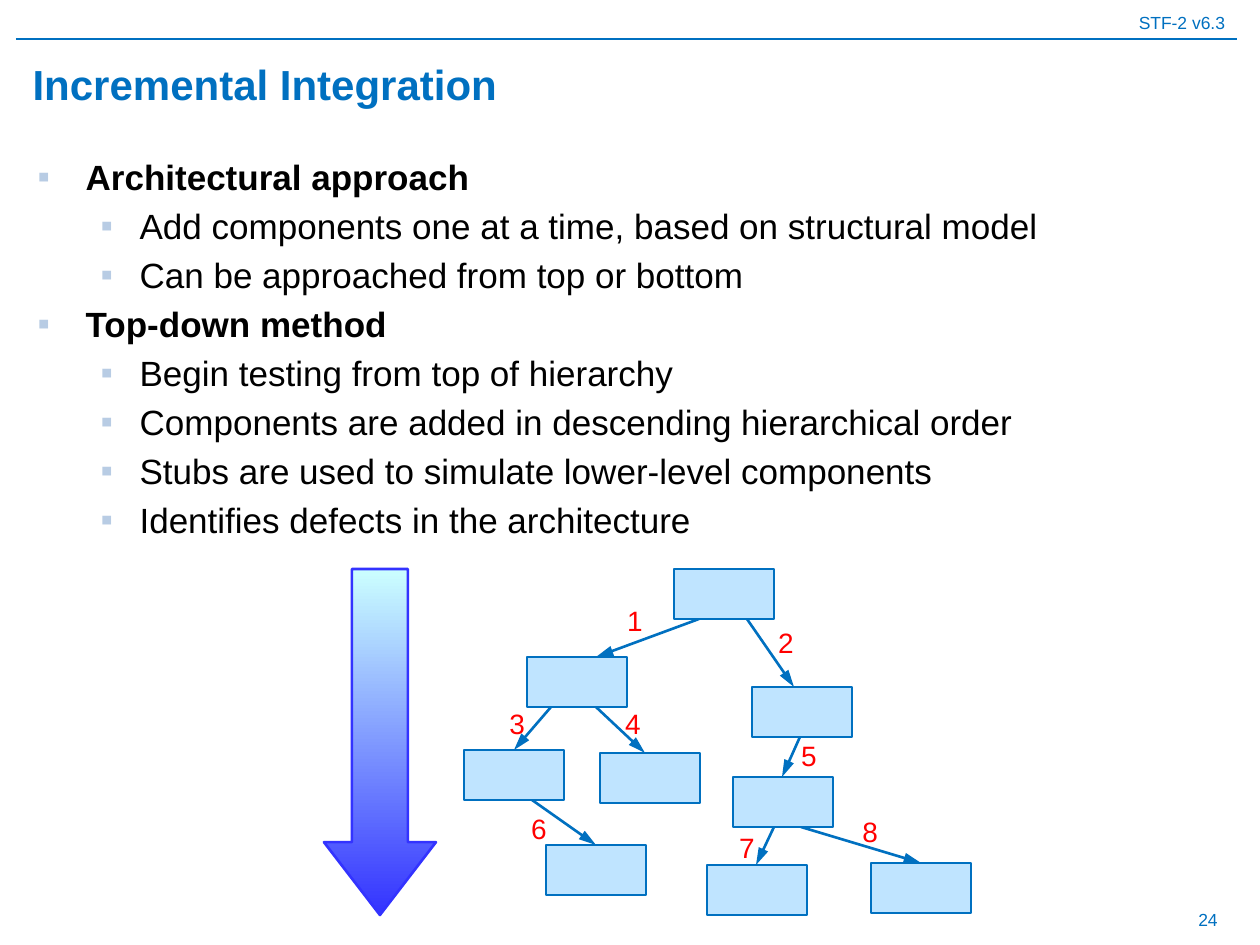
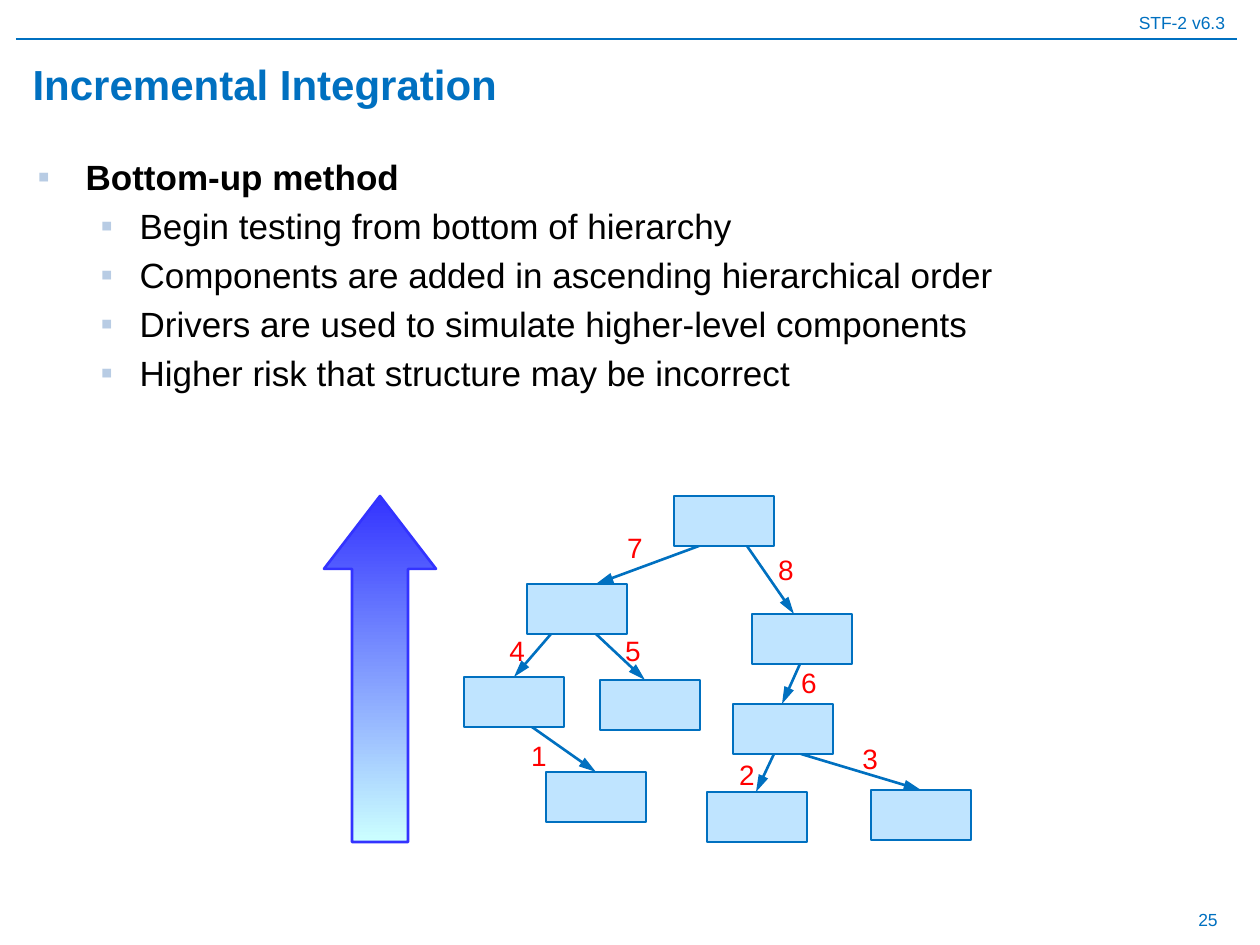
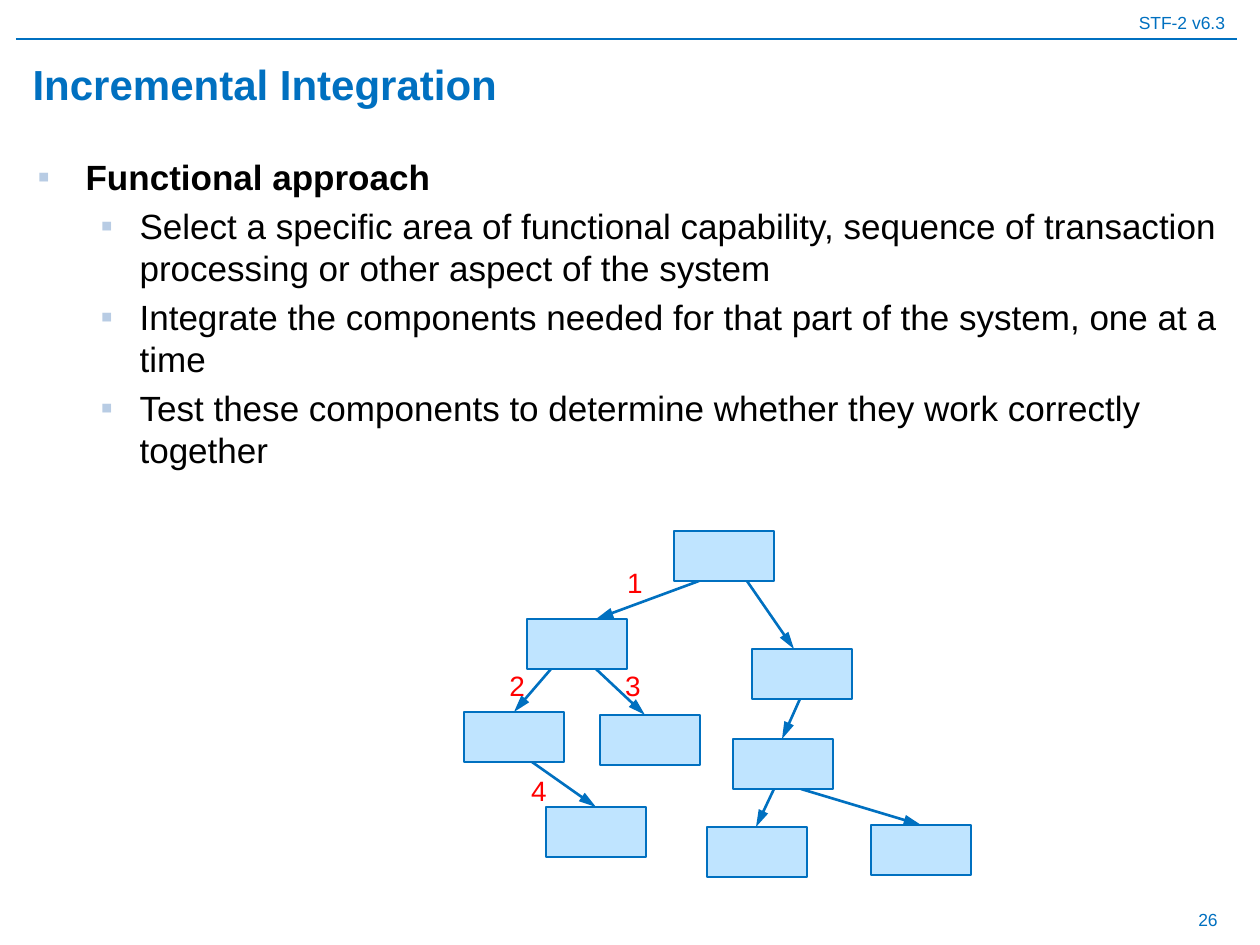
from lxml import etree
from pptx import Presentation
from pptx.dml.color import RGBColor
from pptx.enum.shapes import MSO_CONNECTOR, MSO_SHAPE
from pptx.enum.text import MSO_ANCHOR, MSO_AUTO_SIZE, PP_ALIGN
from pptx.oxml.ns import qn
from pptx.util import Pt

LEFT, CENTER, RIGHT = PP_ALIGN.LEFT, PP_ALIGN.CENTER, PP_ALIGN.RIGHT
TOP, MIDDLE = MSO_ANCHOR.TOP, MSO_ANCHOR.MIDDLE
NO_FIT = MSO_AUTO_SIZE.NONE
STRAIGHT = MSO_CONNECTOR.STRAIGHT
RECTANGLE, DOWN_ARROW = MSO_SHAPE.RECTANGLE, MSO_SHAPE.DOWN_ARROW

BLUE = RGBColor(0x00, 0x70, 0xC0)
PALE_BLUE = RGBColor(0xBF, 0xE4, 0xFF)
BULLET_BLUE = "B8CCE4"
RED = RGBColor(0xFF, 0x00, 0x00)
BLACK = RGBColor(0x00, 0x00, 0x00)
ARROW_LIGHT = RGBColor(0xCC, 0xFF, 0xFF)
ARROW_DARK = RGBColor(0x33, 0x33, 0xFF)
FONT = "Arial"

SCALE = 914400 / 126  # EMU in one pixel


def px(length):
    return round(length * SCALE)


# Boxes: left, top, width, height
HEADER_BOX = (0, 6, 1260, 34)
NUMBER_BOX = (936, 895, 294, 50)
TITLE_BOX = (20, 49, 1211, 69)
BODY_BOX = (25, 149, 1216, 690)
TREE_LEFT = 464
ARROW_LEFT, ARROW_WIDTH, ARROW_HEIGHT = 324, 112, 346

# Left margin and hanging indent for each list level
INDENTS = [(48, 48), (102, 39)]

# Tree nodes: left, top, relative to the tree
NODE_WIDTH, NODE_HEIGHT = 100, 50
NODES = {
    "root": (210, 0),
    "left": (63, 88),
    "right": (288, 118),
    "left outer": (0, 181),
    "left inner": (136, 184),
    "left leaf": (82, 276),
    "right middle": (269, 208),
    "right inner leaf": (243, 296),
    "right outer leaf": (407, 294),
}
# Tree edges: parent, child, x at parent, x at child, label left, label top
EDGES = [
    ("root", "left", 235, 132, 150, 28),
    ("root", "right", 283, 330, 301, 50),
    ("left", "left outer", 87, 50, 32, 131),
    ("left", "left inner", 132, 181, 148, 131),
    ("right", "right middle", 336, 318, 324, 163),
    ("left outer", "left leaf", 68, 132, 54, 236),
    ("right middle", "right inner leaf", 310, 292, 262, 255),
    ("right middle", "right outer leaf", 337, 457, 385, 239),
]
LABEL_WIDTH, LABEL_HEIGHT = 42, 47


def place(shape, box):
    shape.left, shape.top, shape.width, shape.height = map(px, box)


def add_run(paragraph, text, size, color, bold=False):
    run = paragraph.add_run()
    run.text = text
    run.font.name = FONT
    run.font.size = Pt(size)
    run.font.bold = bold
    run.font.color.rgb = color


def add_text(shapes, box, text, size, color, align, anchor=TOP, wrap=True):
    text_box = shapes.add_textbox(*map(px, box))
    frame = text_box.text_frame
    frame.word_wrap = wrap
    frame.vertical_anchor = anchor
    frame.paragraphs[0].alignment = align
    add_run(frame.paragraphs[0], text, size, color)
    return text_box


def add_line(shapes, start, end, width, arrowhead=False):
    line = shapes.add_connector(STRAIGHT, *map(px, start + end))
    line.line.color.rgb = BLUE
    line.line.width = Pt(width)
    properties = line.element.spPr
    if arrowhead:
        etree.SubElement(properties.find(qn("a:ln")), qn("a:tailEnd"),
                         type="triangle", w="med", len="lg")
    etree.SubElement(properties, qn("a:effectLst"))
    return line


def add_header(slide, layout):
    """Draw the header and move it to the layout, where all slides share it."""
    text_box = add_text(slide.shapes, HEADER_BOX, "STF-2 v6.3", 10, BLUE, RIGHT)
    text_box.text_frame.margin_right = px(35)
    rule = add_line(slide.shapes, (16, 39), (1237, 39), 0.75)
    for shape in (text_box, rule):
        layout.shapes.element.append(shape.element)


def fill_title(shape, box, text):
    place(shape, box)
    frame = shape.text_frame
    frame.auto_size = NO_FIT
    frame.vertical_anchor = MIDDLE
    frame.paragraphs[0].alignment = LEFT
    add_run(frame.paragraphs[0], text, 24, BLUE, bold=True)


def set_bullet(paragraph, level):
    margin, hanging = INDENTS[level]
    properties = paragraph._p.get_or_add_pPr()
    properties.set("marL", str(px(margin)))
    properties.set("indent", str(-px(hanging)))
    color = etree.SubElement(properties, qn("a:buClr"))
    etree.SubElement(color, qn("a:srgbClr"), val=BULLET_BLUE)
    etree.SubElement(properties, qn("a:buFont"), typeface=FONT)
    etree.SubElement(properties, qn("a:buChar"), char="▪")


def fill_body(shape, box, sections):
    place(shape, box)
    frame = shape.text_frame
    frame.auto_size = NO_FIT
    frame.vertical_anchor = TOP
    lines = []
    for heading, points in sections:
        lines.append((0, heading))
        lines += [(1, point) for point in points]
    for index, (level, text) in enumerate(lines):
        paragraph = frame.add_paragraph() if index else frame.paragraphs[0]
        paragraph.level = level
        paragraph.alignment = LEFT
        paragraph.line_spacing = Pt(24)
        paragraph.space_before = Pt(4)
        set_bullet(paragraph, level)
        add_run(paragraph, text, 20, BLACK, bold=level == 0)


def add_tree(slide, left, top, labels):
    """Draw the component tree; labels follow the order of EDGES."""
    shapes = slide.shapes.add_group_shape().shapes
    # Edges
    for parent, child, start_x, end_x, *_ in EDGES:
        start = (left + start_x, top + NODES[parent][1] + NODE_HEIGHT)
        end = (left + end_x, top + NODES[child][1])
        add_line(shapes, start, end, 1.5, arrowhead=True)
    # Order of integration
    for (*_, label_x, label_y), label in zip(EDGES, labels):
        if label:
            box = (left + label_x, top + label_y, LABEL_WIDTH, LABEL_HEIGHT)
            add_text(shapes, box, label, 16, RED, CENTER, wrap=False)
    # Components
    for x, y in NODES.values():
        node = shapes.add_shape(RECTANGLE, px(left + x), px(top + y),
                                px(NODE_WIDTH), px(NODE_HEIGHT))
        node.shadow.inherit = False
        node.fill.solid()
        node.fill.fore_color.rgb = PALE_BLUE
        node.line.color.rgb = BLUE
        node.line.width = Pt(1)


def add_direction_arrow(slide, box, rotation):
    arrow = slide.shapes.add_shape(DOWN_ARROW, *map(px, box))
    arrow.rotation = rotation
    arrow.adjustments[0] = 0.5
    arrow.adjustments[1] = 0.65
    arrow.shadow.inherit = False
    arrow.fill.gradient()
    arrow.fill.gradient_angle = 270
    for stop, color in zip(arrow.fill.gradient_stops, (ARROW_LIGHT, ARROW_DARK)):
        stop.color.rgb = color
    arrow.line.color.rgb = ARROW_DARK
    arrow.line.width = Pt(1.5)


def add_integration_slide(presentation, layout, number, sections, tree_top,
                          labels, arrow_rotation=None):
    slide = presentation.slides.add_slide(layout)
    fill_title(slide.shapes.title, TITLE_BOX, "Incremental Integration")
    fill_body(slide.placeholders[1], BODY_BOX, sections)
    add_text(slide.shapes, NUMBER_BOX, str(number), 10, BLUE, RIGHT, MIDDLE)
    add_tree(slide, TREE_LEFT, tree_top, labels)
    if arrow_rotation is not None:
        box = (ARROW_LEFT, tree_top, ARROW_WIDTH, ARROW_HEIGHT)
        add_direction_arrow(slide, box, arrow_rotation)
    return slide


presentation = Presentation()
presentation.slide_width, presentation.slide_height = px(1260), px(945)
content_layout = presentation.slide_layouts[1]

# Top-down
first_slide = add_integration_slide(presentation, content_layout, 24, [
    ("Architectural approach", [
        "Add components one at a time, based on structural model",
        "Can be approached from top or bottom",
    ]),
    ("Top-down method", [
        "Begin testing from top of hierarchy",
        "Components are added in descending hierarchical order",
        "Stubs are used to simulate lower-level components",
        "Identifies defects in the architecture",
    ]),
], 569, "12345678", arrow_rotation=0)
add_header(first_slide, content_layout)

# Bottom-up
add_integration_slide(presentation, content_layout, 25, [
    ("Bottom-up method", [
        "Begin testing from bottom of hierarchy",
        "Components are added in ascending hierarchical order",
        "Drivers are used to simulate higher-level components",
        "Higher risk that structure may be incorrect",
    ]),
], 496, "78456123", arrow_rotation=180)

# Functional
add_integration_slide(presentation, content_layout, 26, [
    ("Functional approach", [
        "Select a specific area of functional capability, sequence of "
        "transaction processing or other aspect of the system",
        "Integrate the components needed for that part of the system, "
        "one at a time",
        "Test these components to determine whether they work correctly "
        "together",
    ]),
], 531, ["1", "", "2", "3", "", "4", "", ""])

presentation.save("out.pptx")
